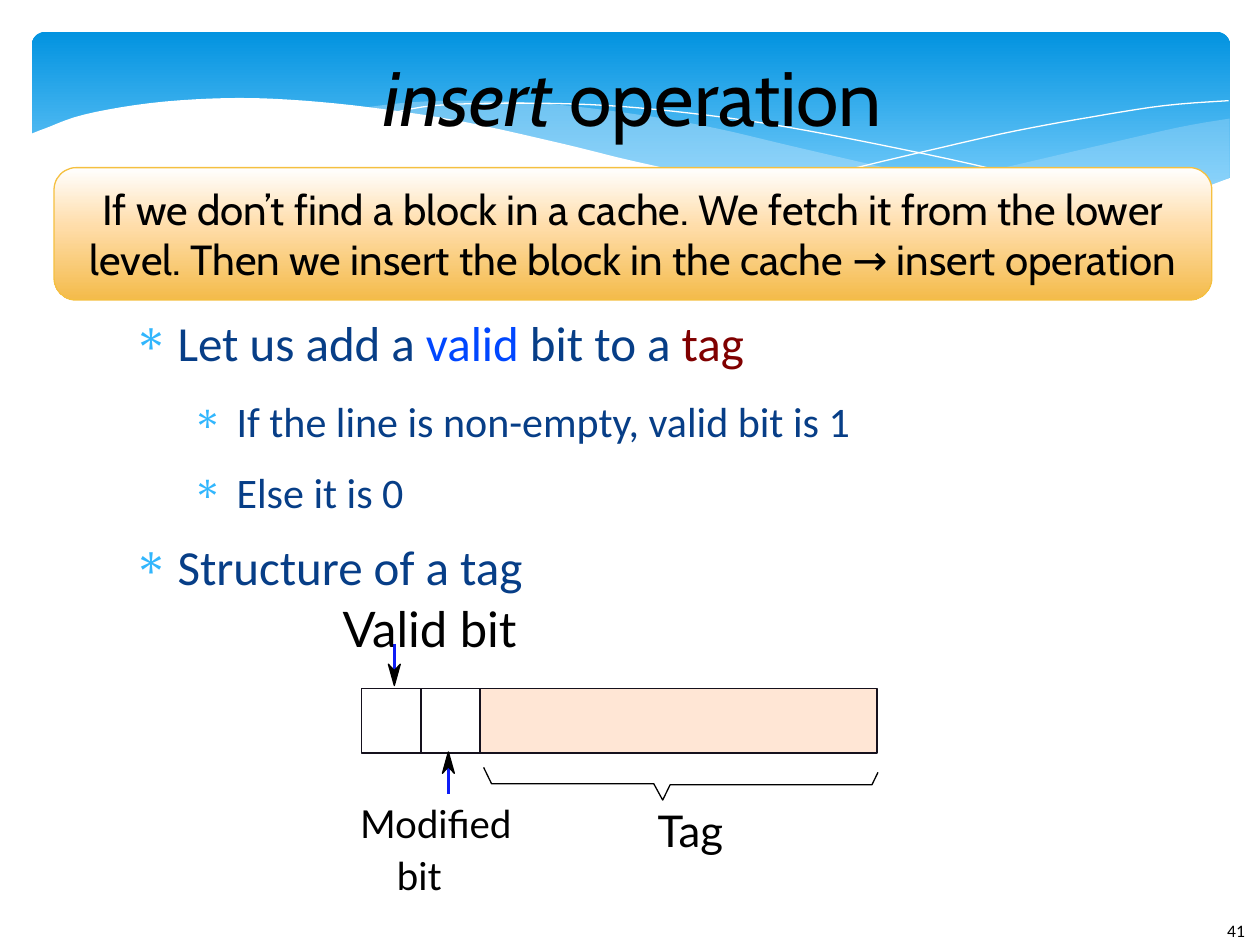
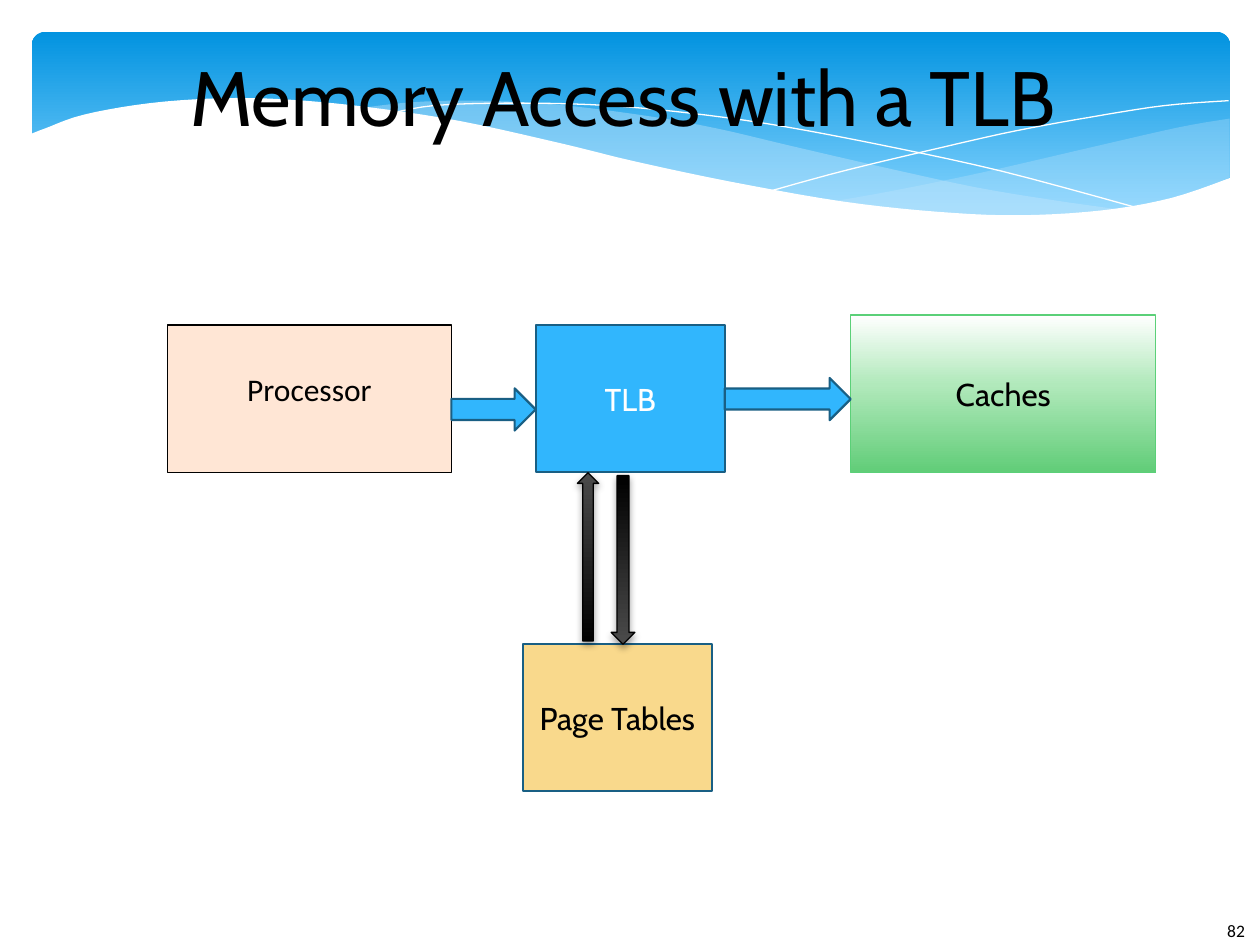
from dataclasses import dataclass
from typing import NamedTuple

from lxml import etree
from pptx import Presentation
from pptx.dml.color import RGBColor
from pptx.enum.shapes import MSO_CONNECTOR, MSO_SHAPE
from pptx.enum.text import MSO_ANCHOR, PP_ALIGN
from pptx.oxml.ns import qn
from pptx.shapes.autoshape import Shape
from pptx.slide import Slide
from pptx.text.text import TextFrame
from pptx.util import Cm, Pt

RECTANGLE = MSO_SHAPE.RECTANGLE
ROUNDED = MSO_SHAPE.ROUNDED_RECTANGLE
RIGHT_ARROW = MSO_SHAPE.RIGHT_ARROW
UP_ARROW = MSO_SHAPE.UP_ARROW
STRAIGHT = MSO_CONNECTOR.STRAIGHT
TOP, MIDDLE = MSO_ANCHOR.TOP, MSO_ANCHOR.MIDDLE
LEFT, CENTER = PP_ALIGN.LEFT, PP_ALIGN.CENTER

Point = tuple[float, float]
Stops = tuple[tuple[int, str], ...]
Paint = str | Stops | None


@dataclass(frozen=True)
class Theme:
    heading_font: str = "Cabin"
    body_font: str = "Calibri"
    label_font: str = "Lato"
    black: str = "000000"
    white: str = "FFFFFF"
    wave: str = "C6E7FC"
    sky: str = "31B6FD"
    steel: str = "195F84"
    navy: str = "073E87"
    valid: str = "0047FF"
    tag: str = "800000"
    peach: str = "FFE6D5"
    cell_line: str = "15111D"
    pointer: str = "0E1DF6"
    sand: str = "F9D98C"
    gold: str = "F5C040"
    green: str = "5BD078"
    band_stops: Stops = ((0, "0293E0"), (90, "83D3FE"))
    gold_stops: Stops = ((0, "FFFFFF"), (44, "FFDDAA"), (100, "F4BB4A"))
    green_stops: Stops = ((0, "FFFFFF"), (44, "B1E9BB"), (100, "61CD78"))
    dark_stops: Stops = ((0, "4B4B4B"), (100, "000000"))
    title_size: int = 44
    body_size: int = 28
    sub_size: int = 24
    tag_size: int = 25
    small_label_size: int = 22
    box_size: int = 18
    number_size: int = 10


THEME = Theme()


class Box(NamedTuple):
    """Left, top, width and height in centimetres."""
    left: float
    top: float
    width: float
    height: float

    def lengths(self) -> list[Cm]:
        return [Cm(value) for value in self]


class Outline(NamedTuple):
    color: str
    points: float = 0


class Span(NamedTuple):
    text: str
    color: str = THEME.black
    italic: bool = False


class Style(NamedTuple):
    font: str
    size: int
    align: PP_ALIGN = CENTER


class Bullet(NamedTuple):
    level: int
    spans: list[Span]


class Node(NamedTuple):
    """A labelled box of the memory access diagram."""
    label: str
    box: Box
    fill: Paint
    outline: Outline
    color: str = THEME.black
    font: str = THEME.heading_font
    bottom_inset: float = 0.13


BAND = Box(0.64, 0.64, 24.16, 3.96)
RIGHT_WAVE = [
    [(24.79, 2.39), (23.75, 2.57), (21.87, 3), (19.79, 3.48), (17.93, 3.86), (16.79, 4.06)],
    [(16.79, 4.06), (18.26, 4.24), (19.84, 4.37), (21.21, 4.37), (22.58, 4.22), (23.75, 3.96),
     (24.79, 3.58)],
]
MIDDLE_WAVE = [
    [(22.68, 4.24), (21.26, 4.04), (19.69, 3.78), (17.93, 3.4), (15.98, 2.95), (14.45, 2.59),
     (13.06, 2.34), (11.23, 2.11), (9.65, 2.03), (8.33, 2.06), (7.26, 2.18)],
    [(7.26, 2.18), (8.69, 2.39), (10.26, 2.69), (12.47, 3.2), (14.38, 3.63), (16.1, 3.96),
     (17.65, 4.19), (19.33, 4.34), (20.78, 4.39), (21.77, 4.34), (22.68, 4.24)],
]
FALLING_LINE = [(7.85, 2.29), (8.74, 2.13), (10.19, 2.08), (11.91, 2.11), (13.54, 2.24),
                (15.44, 2.49), (17.65, 2.9), (20.19, 3.45), (23.04, 4.22)]
RISING_LINE = [(15.57, 3.84), (17.07, 3.43), (19, 2.97), (20.47, 2.64), (22, 2.36),
               (23.47, 2.13), (24.77, 2.03)]
BAND_EDGE = [(24.82, 3.58), (23.62, 3.99), (22.23, 4.24), (20.55, 4.34), (18.9, 4.27),
             (16.97, 4.06), (14.71, 3.66), (12.78, 3.25), (11.35, 2.9), (9.27, 2.44),
             (7.42, 2.16), (5.84, 2.01), (4.5, 1.98), (3.02, 2.08), (1.7, 2.31),
             (0.91, 2.59), (0.58, 2.72)]
BELOW_BAND = [(0.58, 5.69), (24.82, 5.69)]


def smooth(knots: list[Point], steps: int = 5) -> list[Point]:
    """Sample a Catmull-Rom curve through the knots."""
    padded = [knots[0], *knots, knots[-1]]
    points = []
    for a, b, c, d in zip(padded, padded[1:], padded[2:], padded[3:]):
        for step in range(steps):
            t = step / steps
            points.append(tuple(
                q + t * (r - p) / 2 + t**2 * (p - 2.5 * q + 2 * r - s / 2)
                + t**3 * (3 * q - p - 3 * r + s) / 2
                for p, q, r, s in zip(a, b, c, d)))
    return [*points, knots[-1]]


def paint(shape: Shape, fill: Paint, outline: Outline | None, alpha: int = 100) -> None:
    shape.shadow.inherit = False
    properties = shape._element.spPr
    if fill is None:
        shape.fill.background()
    else:
        shape.fill.solid()
        shape.fill.fore_color.rgb = RGBColor.from_string(fill if isinstance(fill, str) else fill[0][1])
        solid = properties.find(qn("a:solidFill"))
        if not isinstance(fill, str):
            properties.replace(solid, gradient(fill))
        elif alpha < 100:
            etree.SubElement(solid[0], qn("a:alpha"), val=str(alpha * 1000))
    if outline is None:
        shape.line.fill.background()
    else:
        shape.line.color.rgb = RGBColor.from_string(outline.color)
        shape.line.width = Pt(outline.points)


def gradient(stops: Stops) -> etree._Element:
    """Return a fill that runs from top to bottom."""
    fill = etree.Element(qn("a:gradFill"), rotWithShape="1")
    stop_list = etree.SubElement(fill, qn("a:gsLst"))
    for position, color in stops:
        stop = etree.SubElement(stop_list, qn("a:gs"), pos=str(position * 1000))
        etree.SubElement(stop, qn("a:srgbClr"), val=color)
    etree.SubElement(fill, qn("a:lin"), ang="5400000", scaled="0")
    return fill


def add_soft_shadow(shape: Shape) -> None:
    effects = shape._element.spPr.find(qn("a:effectLst"))
    shadow = etree.SubElement(effects, qn("a:outerShdw"), blurRad=str(Pt(4)), dist=str(Pt(2)),
                              dir="5400000", rotWithShape="0")
    color = etree.SubElement(shadow, qn("a:srgbClr"), val=THEME.black)
    etree.SubElement(color, qn("a:alpha"), val="38000")


def add_preset(slide: Slide, kind: MSO_SHAPE, box: Box, fill: Paint,
               outline: Outline | None) -> Shape:
    shape = slide.shapes.add_shape(kind, *box.lengths())
    paint(shape, fill, outline)
    return shape


def add_outline(slide: Slide, points: list[Point], fill: Paint, outline: Outline | None,
                closed: bool = True, alpha: int = 100) -> None:
    start, *others = [(Cm(x), Cm(y)) for x, y in points]
    builder = slide.shapes.build_freeform(*start)
    builder.add_line_segments(others, close=closed)
    paint(builder.convert_to_shape(), fill, outline, alpha)


def write(frame: TextFrame, paragraphs: list[list[Span]], style: Style) -> None:
    for index, spans in enumerate(paragraphs):
        paragraph = frame.add_paragraph() if index else frame.paragraphs[0]
        paragraph.alignment = style.align
        for span in spans:
            run = paragraph.add_run()
            run.text = span.text
            run.font.name = style.font
            run.font.size = Pt(style.size)
            run.font.italic = span.italic
            run.font.color.rgb = RGBColor.from_string(span.color)


def add_text(slide: Slide, box: Box, paragraphs: list[list[Span]], style: Style,
             anchor: MSO_ANCHOR = TOP, wrap: bool = True, inset: bool = False) -> TextFrame:
    frame = slide.shapes.add_textbox(*box.lengths()).text_frame
    frame.word_wrap = wrap
    frame.vertical_anchor = anchor
    if not inset:
        frame.margin_left = frame.margin_top = frame.margin_right = frame.margin_bottom = 0
    write(frame, paragraphs, style)
    return frame


def add_bullets(slide: Slide, box: Box, bullets: list[Bullet]) -> None:
    frame = add_text(slide, box, [bullet.spans for bullet in bullets],
                     Style(THEME.body_font, THEME.body_size, LEFT))
    for paragraph, bullet in zip(frame.paragraphs, bullets):
        paragraph.level = bullet.level
        paragraph.space_after = Pt(11.4 if bullet.level else 14.1)
        if bullet.level:
            for run in paragraph.runs:
                run.font.size = Pt(THEME.sub_size)
        properties = paragraph._p.get_or_add_pPr()
        properties.set("marL", str(Cm(1.19 * (bullet.level + 1))))
        properties.set("indent", str(Cm(-0.89)))
        color = etree.SubElement(properties, qn("a:buClr"))
        etree.SubElement(color, qn("a:srgbClr"), val=THEME.sky)
        etree.SubElement(properties, qn("a:buChar"), char="∗")


def add_pointer(slide: Slide, x: float, tip: float, away: int) -> None:
    """Draw a barbed arrow; away is 1 if its shaft lies below the tip, else -1."""
    shaft = slide.shapes.add_connector(STRAIGHT, Cm(x), Cm(tip + away * 0.84),
                                       Cm(x), Cm(tip + away * 0.05))
    shaft.line.color.rgb = RGBColor.from_string(THEME.pointer)
    shaft.line.width = Pt(0)
    etree.SubElement(shaft._element.spPr, qn("a:effectLst"))
    barb = tip + away * 0.43
    head = [(x, tip + away * 0.3), (x + 0.12, barb), (x, tip), (x - 0.12, barb)]
    add_outline(slide, head, THEME.black, Outline(THEME.black))


def start_slide(presentation: Presentation, title: list[Span], title_left: float,
                number: int) -> Slide:
    """Add a slide with the wavy band, its title and its number."""
    slide = presentation.slides.add_slide(presentation.slide_layouts[6])
    band = add_preset(slide, ROUNDED, BAND, THEME.band_stops, None)
    band.adjustments[0] = 0.07
    for edges, alpha in ((RIGHT_WAVE, 29), (MIDDLE_WAVE, 40)):
        points = [point for edge in edges for point in smooth(edge)]
        add_outline(slide, points, THEME.wave, None, alpha=alpha)
    for line in (FALLING_LINE, RISING_LINE):
        add_outline(slide, smooth(line), None, Outline(THEME.white), closed=False)
    add_outline(slide, smooth(BAND_EDGE) + BELOW_BAND, THEME.white, None)
    add_text(slide, Box(24.49, 18.42, 1.55, 1.02), [[Span(str(number))]],
             Style(THEME.body_font, THEME.number_size, LEFT), inset=True)
    add_text(slide, Box(title_left, 0.64, 20.6, 2.59), [title],
             Style(THEME.heading_font, THEME.title_size), MIDDLE)
    return slide


def build_insert_slide(presentation: Presentation) -> None:
    slide = start_slide(presentation, [Span("insert ", italic=True), Span("operation")], 2.46, 41)
    add_bullets(slide, Box(2.39, 6.3, 20.6, 6.12), [
        Bullet(0, [Span("Let us add a ", THEME.navy), Span("valid", THEME.valid),
                   Span(" bit to a ", THEME.navy), Span("tag", THEME.tag)]),
        Bullet(1, [Span("If the line is non-empty, valid bit is 1", THEME.navy)]),
        Bullet(1, [Span("Else it is 0", THEME.navy)]),
        Bullet(0, [Span("Structure of a tag", THEME.navy)]),
    ])
    for left, width, fill in ((9.68, 8, THEME.peach), (8.48, 1.21, None), (7.29, 1.21, None)):
        add_preset(slide, RECTANGLE, Box(left, 13.88, width, 1.3), fill, Outline(THEME.cell_line))
    brace = [(9.75, 15.47), (9.91, 15.8), (13.18, 15.8), (13.36, 16.13), (13.51, 15.82),
             (17.58, 15.82), (17.7, 15.57)]
    add_outline(slide, brace, None, Outline(THEME.black), closed=False)
    add_pointer(slide, 9.04, 15.16, 1)
    add_pointer(slide, 7.95, 13.82, -1)
    for label, size, box in (
        ("Tag", THEME.tag_size, Box(13.26, 16.21, 1.91, 1.17)),
        ("Modified", THEME.small_label_size, Box(7.26, 16.13, 3.43, 1.09)),
        ("bit", THEME.small_label_size, Box(8, 17.17, 1.4, 1.09)),
        ("Valid bit", THEME.body_size, Box(6.91, 12.07, 4.09, 1.35)),
    ):
        add_text(slide, box, [[Span(label)]], Style(THEME.label_font, size, LEFT), wrap=False)
    callout = add_preset(slide, ROUNDED, Box(1.09, 3.38, 23.34, 2.67), THEME.gold_stops,
                         Outline(THEME.gold, 0.75))
    callout.text_frame.vertical_anchor = MIDDLE
    write(callout.text_frame, [[Span(
        "If we don’t find a block in a cache. We fetch it from the lower level. "
        "Then we insert the block in the cache → insert operation")]],
        Style(THEME.heading_font, THEME.sub_size))


def build_tlb_slide(presentation: Presentation) -> None:
    slide = start_slide(presentation, [Span("Memory Access with a TLB")], 2.26, 82)
    steel = Outline(THEME.steel, 1.25)
    for node in (
        Node("Processor", Box(3.38, 6.55, 5.72, 2.97), THEME.peach, Outline(THEME.black),
             font=THEME.body_font, bottom_inset=0.5),
        Node("TLB", Box(10.8, 6.55, 3.81, 2.97), THEME.sky, steel, THEME.white),
        Node("Caches", Box(17.15, 6.35, 6.15, 3.18), THEME.green_stops, Outline(THEME.green, 0.75)),
        Node("Page Tables", Box(10.54, 12.98, 3.81, 2.97), THEME.sand, steel),
    ):
        frame = add_preset(slide, RECTANGLE, node.box, node.fill, node.outline).text_frame
        frame.vertical_anchor = MIDDLE
        frame.margin_bottom = Cm(node.bottom_inset)
        write(frame, [[Span(node.label, node.color)]], Style(node.font, THEME.box_size))
    for box in (Box(9.1, 7.83, 1.7, 0.85), Box(14.61, 7.62, 2.54, 0.85)):
        add_preset(slide, RIGHT_ARROW, box, THEME.sky, steel)
    for box, flipped in ((Box(11.64, 9.53, 0.43, 3.39), False), (Box(12.32, 9.59, 0.48, 3.4), True)):
        arrow = add_preset(slide, UP_ARROW, box, THEME.dark_stops, Outline(THEME.black, 0.75))
        add_soft_shadow(arrow)
        if flipped:
            arrow._element.spPr.find(qn("a:xfrm")).set("flipV", "1")


def main() -> None:
    presentation = Presentation()
    presentation.slide_width, presentation.slide_height = Cm(25.4), Cm(19.05)
    build_insert_slide(presentation)
    build_tlb_slide(presentation)
    presentation.save("out.pptx")


if __name__ == "__main__":
    main()
